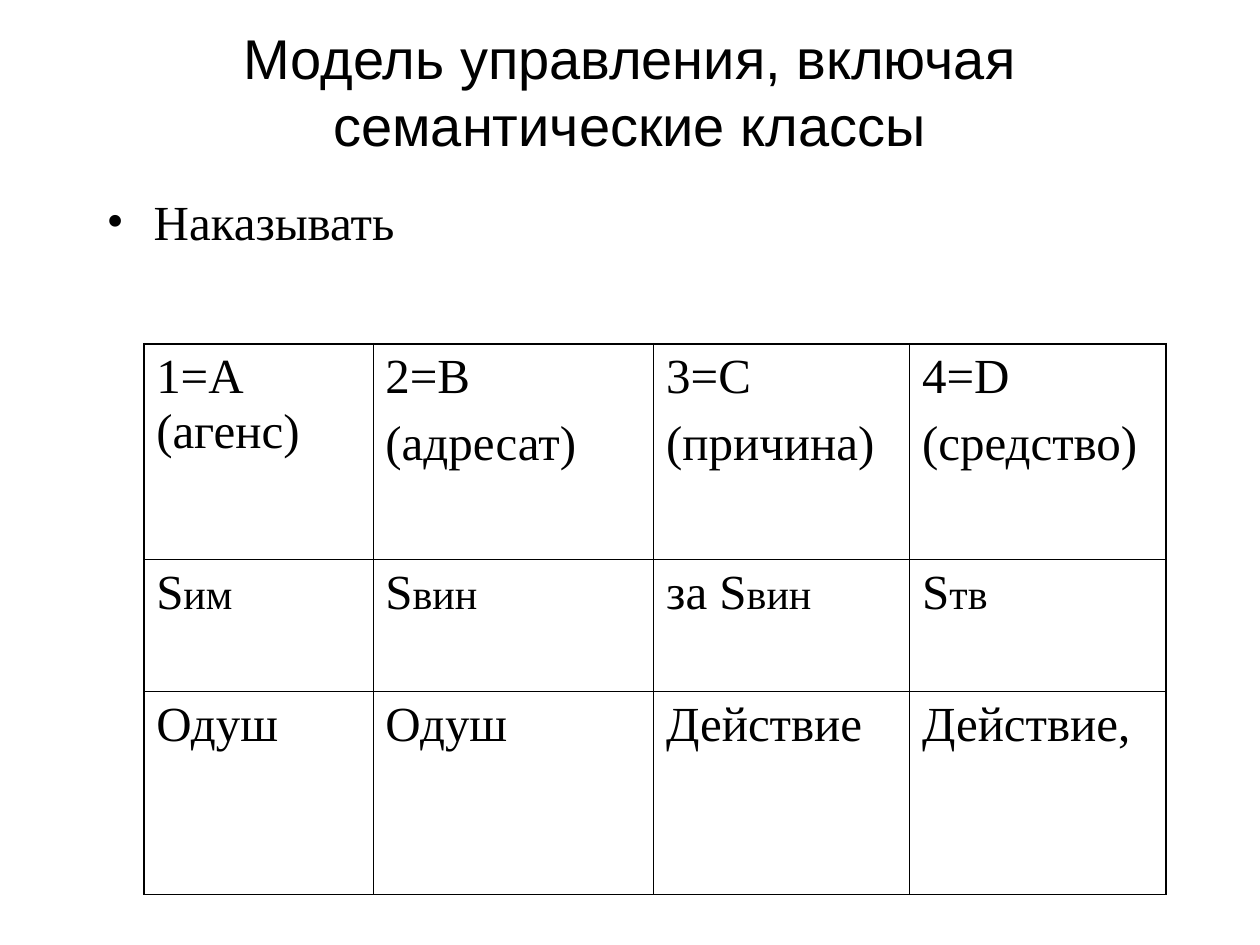
from dataclasses import dataclass

from lxml.etree import SubElement
from pptx import Presentation
from pptx.dml.color import RGBColor
from pptx.enum.text import MSO_ANCHOR, MSO_AUTO_SIZE, PP_ALIGN
from pptx.oxml.ns import qn
from pptx.util import Cm, Pt

COLORS = {"ink": "000000", "paper": "FFFFFF"}
SERIF = "Times New Roman"
COLUMN_WIDTHS = (4.62, 5.66, 5.16, 5.16)
ROW_HEIGHTS = (4.34, 2.67, 4.09)
THIN, THICK = 0.45, 1.08


@dataclass(frozen=True)
class Valency:
    role: tuple[str, ...]
    form: str
    case: str
    semantic_class: str


VALENCIES = (
    Valency(("1=А (агенс)",), "S", "им", "Одуш"),
    Valency(("2=B", "(адресат)"), "S", "вин", "Одуш"),
    Valency(("3=С", "(причина)"), "за S", "вин", "Действие"),
    Valency(("4=D", "(средство)"), "S", "тв", "Действие,"),
)


def style(span, size: float, font: str = SERIF) -> None:
    span.font.name = font
    span.font.size = Pt(size)
    span.font.color.rgb = RGBColor.from_string(COLORS["ink"])


def add_border(cell, side: str, width: float) -> None:
    line = SubElement(cell._tc.get_or_add_tcPr(), qn(f"a:ln{side}"), w=str(Pt(width)))
    fill = SubElement(line, qn("a:solidFill"))
    SubElement(fill, qn("a:srgbClr"), val=COLORS["ink"])


def format_cell(cell, row: int, column: int) -> None:
    outer_sides = {
        "L": column == 0,
        "R": column == len(COLUMN_WIDTHS) - 1,
        "T": row == 0,
        "B": row == len(ROW_HEIGHTS) - 1,
    }
    for side, is_outer in outer_sides.items():
        add_border(cell, side, THICK if is_outer else THIN)
    cell.fill.background()
    cell.margin_left = cell.margin_right = Cm(0.25)
    cell.margin_top = cell.margin_bottom = Cm(0.13)


def write_lines(cell, lines: tuple[str, ...]) -> None:
    cell.text_frame.text = "\n".join(lines)
    for index, para in enumerate(cell.text_frame.paragraphs):
        if index:
            para.space_before = Pt(7)
        for span in para.runs:
            style(span, 28)


def write_form(cell, form: str, case: str) -> None:
    para = cell.text_frame.paragraphs[0]
    for text, size in ((form, 28), (case, 24)):
        span = para.add_run()
        span.text = text
        style(span, size)


def add_title(page) -> None:
    title = page.shapes.title
    title.left, title.top, title.width, title.height = Cm(1.9), Cm(0.53), Cm(21.6), Cm(2.6)
    frame = title.text_frame
    frame.text = "Модель управления, включая семантические классы"
    frame.word_wrap = True
    frame.auto_size = MSO_AUTO_SIZE.NONE
    frame.vertical_anchor = MSO_ANCHOR.MIDDLE
    para = frame.paragraphs[0]
    para.alignment = PP_ALIGN.CENTER
    style(para.runs[0], 32, "Arial")


def add_verb(page) -> None:
    box = page.shapes.add_textbox(Cm(1.9), Cm(3.73), Cm(22.6), Cm(14.2))
    box.text_frame.word_wrap = True
    box.text_frame.text = "Наказывать"
    para = box.text_frame.paragraphs[0]
    properties = para._p.get_or_add_pPr()
    properties.set("marL", str(Cm(0.95)))
    properties.set("indent", str(-Cm(0.95)))
    SubElement(properties, qn("a:buFont"), typeface=SERIF)
    SubElement(properties, qn("a:buChar"), char="•")
    style(para.runs[0], 28)


def add_government_table(page) -> None:
    table = page.shapes.add_table(
        len(ROW_HEIGHTS), len(COLUMN_WIDTHS), Cm(2.9), Cm(6.93),
        Cm(sum(COLUMN_WIDTHS)), Cm(sum(ROW_HEIGHTS)),
    ).table
    table.first_row = table.horz_banding = False
    for row, height in zip(table.rows, ROW_HEIGHTS):
        row.height = Cm(height)
    for index, (valency, width) in enumerate(zip(VALENCIES, COLUMN_WIDTHS)):
        table.columns[index].width = Cm(width)
        write_lines(table.cell(0, index), valency.role)
        write_form(table.cell(1, index), valency.form, valency.case)
        write_lines(table.cell(2, index), (valency.semantic_class,))
        for row in range(len(ROW_HEIGHTS)):
            format_cell(table.cell(row, index), row, index)


def main() -> None:
    deck = Presentation()
    deck.slide_width, deck.slide_height = Cm(25.4), Cm(19.05)
    page = deck.slides.add_slide(deck.slide_layouts[5])
    page.background.fill.solid()
    page.background.fill.fore_color.rgb = RGBColor.from_string(COLORS["paper"])
    add_title(page)
    add_verb(page)
    add_government_table(page)
    deck.save("out.pptx")


if __name__ == "__main__":
    main()
